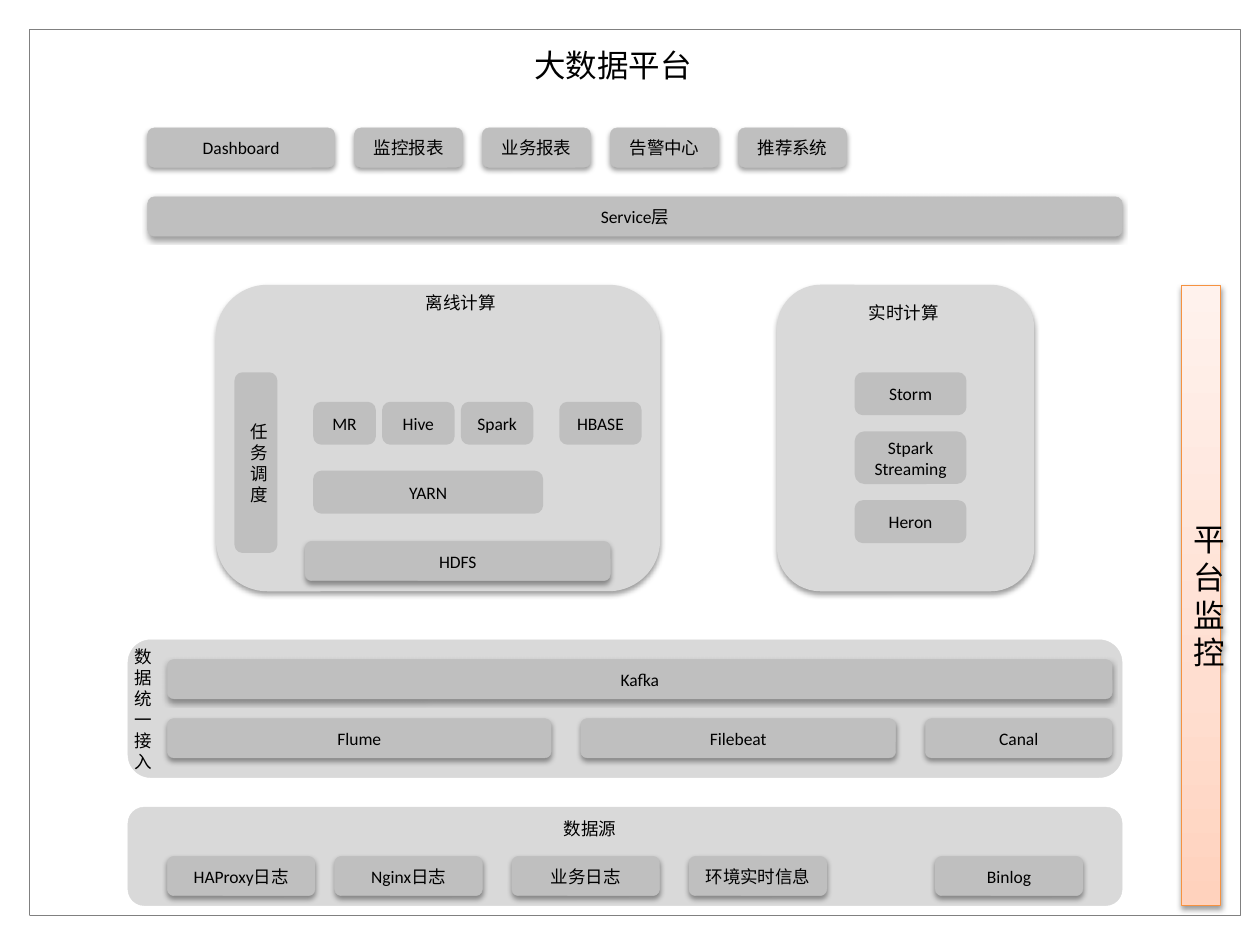
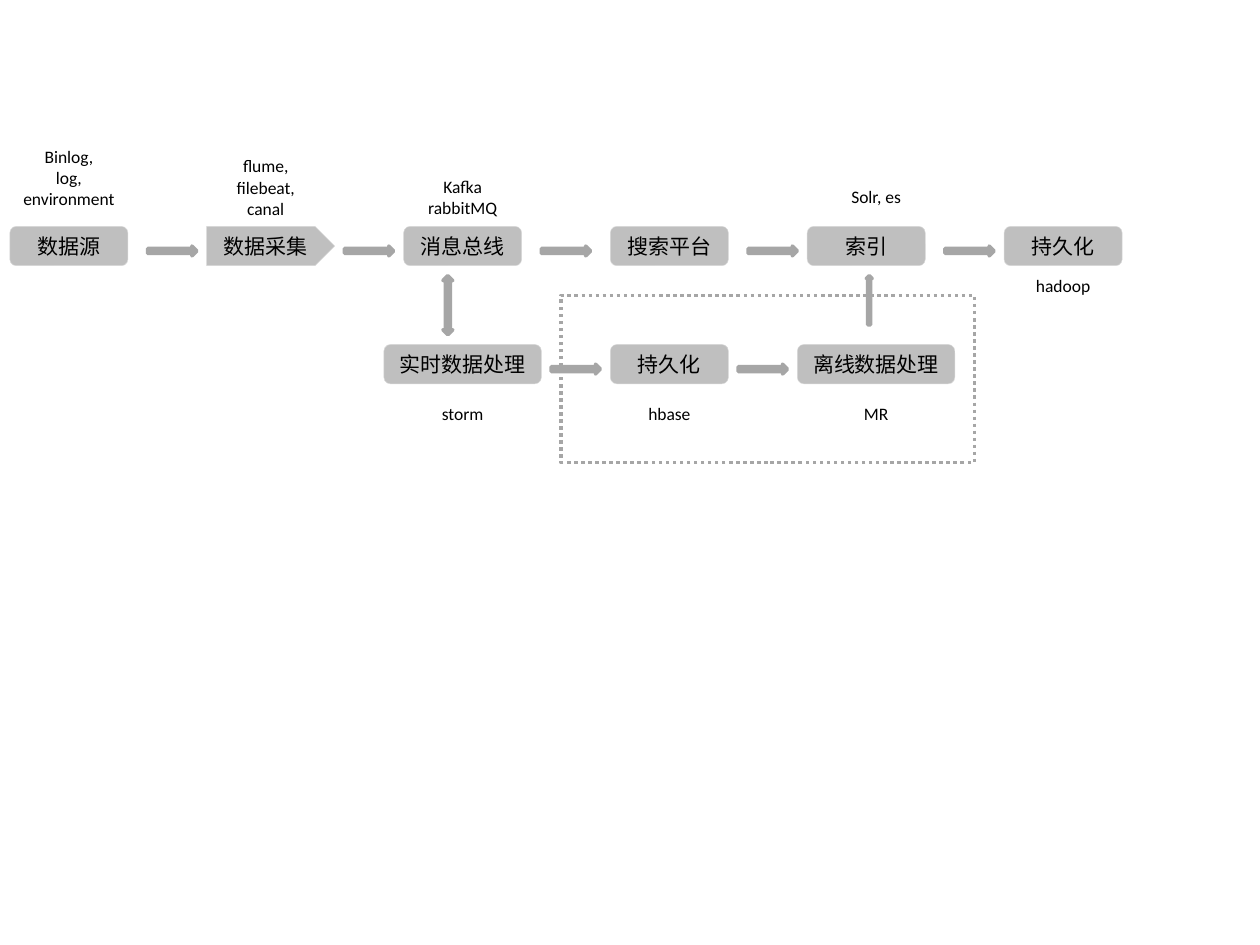
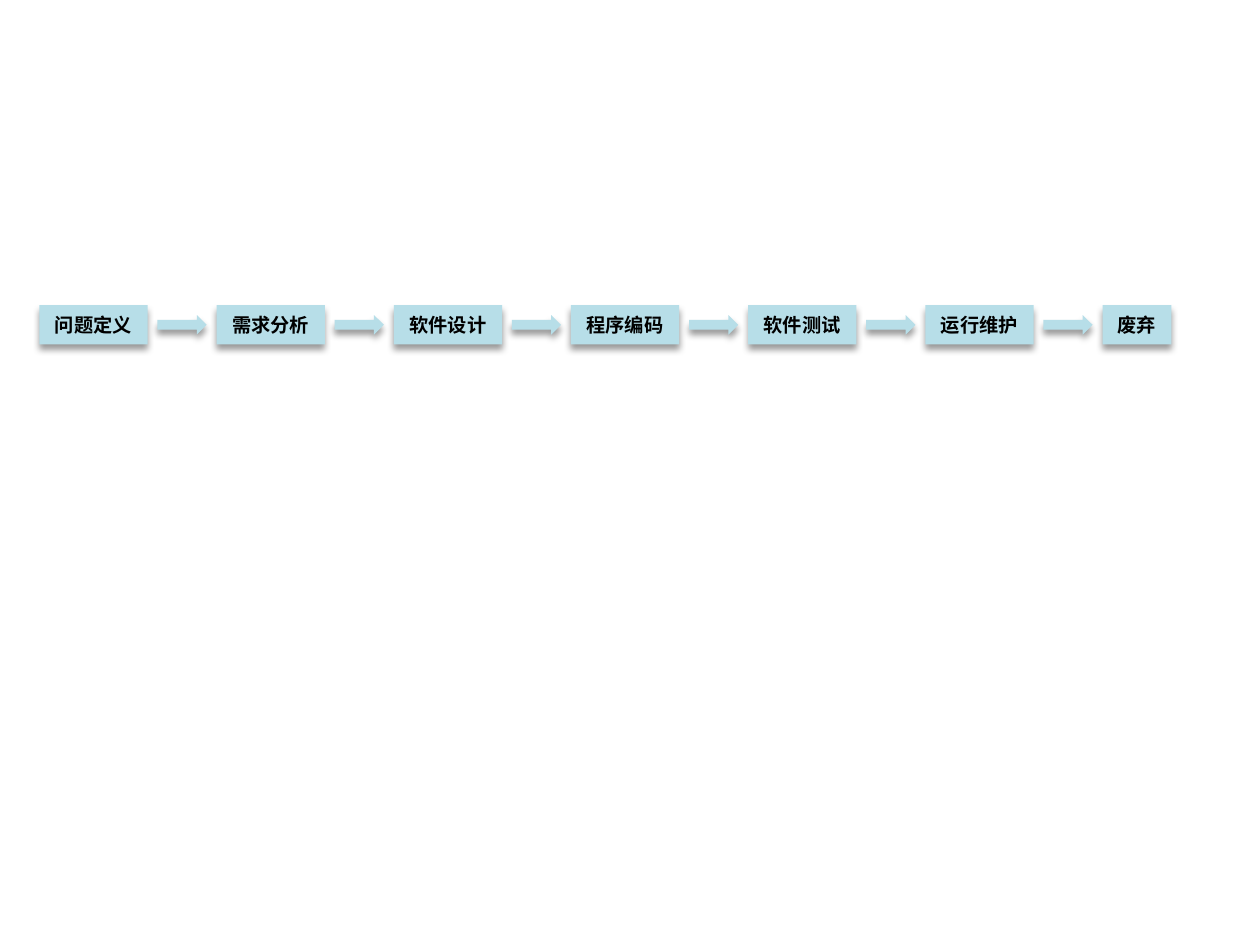
from copy import deepcopy
from dataclasses import dataclass

from lxml.etree import SubElement
from pptx import Presentation
from pptx.dml.color import RGBColor
from pptx.enum.dml import MSO_LINE
from pptx.enum.shapes import MSO_SHAPE as Shape
from pptx.enum.text import MSO_ANCHOR, MSO_AUTO_SIZE, PP_ALIGN
from pptx.oxml.ns import qn
from pptx.util import Inches, Pt

SLIDE_WIDTH, SLIDE_HEIGHT = Inches(10), Inches(7.5)
COLUMNS, ROWS = 128, 96
FONT = "Calibri"
BLACK = RGBColor(0x00, 0x00, 0x00)
WHITE = RGBColor(0xFF, 0xFF, 0xFF)
FRAME_GRAY = RGBColor(0x80, 0x80, 0x80)
ARROW_GRAY = RGBColor(0xA6, 0xA6, 0xA6)
TILE_GRAY = RGBColor(0xBF, 0xBF, 0xBF)
PANEL_GRAY = RGBColor(0xD9, 0xD9, 0xD9)
STEP_BLUE = RGBColor(0xB7, 0xDE, 0xE8)
MONITOR_ORANGE = RGBColor(0xF6, 0x92, 0x40)
MONITOR_STOPS = (
    (0, RGBColor(0xFF, 0xD2, 0xBD)),
    (0.35, RGBColor(0xFF, 0xDE, 0xD0)),
    (1, RGBColor(0xFF, 0xF2, 0xED)),
)


@dataclass
class Box:
    left: float
    top: float
    width: float
    height: float

    def at(self, column, row, width, height):
        return Box(self.left + column, self.top + row, width, height)

    def lengths(self):
        across, down = SLIDE_WIDTH / COLUMNS, SLIDE_HEIGHT / ROWS
        return (round(self.left * across), round(self.top * down),
                round(self.width * across), round(self.height * down))


@dataclass
class Shadow:
    opacity: int
    blur: float
    distance: float


@dataclass
class Style:
    fill: RGBColor
    line: RGBColor = None
    line_width: float = 0.25
    dotted: bool = False
    shadow: Shadow = None
    size: int = 10
    bold: bool = False


SOFT = Shadow(38, 3.1, 1.6)
DEEP = Shadow(40, 4, 3)
FRAME = Style(WHITE, FRAME_GRAY, dotted=True)
MONITOR = Style(WHITE, MONITOR_ORANGE, 0.75, shadow=SOFT, size=18)
PANEL = Style(PANEL_GRAY, PANEL_GRAY)
RAISED_PANEL = Style(PANEL_GRAY, PANEL_GRAY, 0.75, shadow=SOFT)
TILE = Style(TILE_GRAY, TILE_GRAY, 2)
RAISED_TILE = Style(TILE_GRAY, TILE_GRAY, shadow=SOFT)
STORE = Style(WHITE, ARROW_GRAY, 2, dotted=True)
NODE = Style(TILE_GRAY, PANEL_GRAY, size=12)
NOTE = Style(WHITE)
ARROW = Style(ARROW_GRAY, ARROW_GRAY, 2)
STEP = Style(STEP_BLUE, shadow=DEEP, size=11, bold=True)


def write(frame, text, size, bold=False, align=None):
    frame.word_wrap = True
    for index, line in enumerate(text.split("\n")):
        paragraph = frame.add_paragraph() if index else frame.paragraphs[0]
        paragraph.alignment = align
        run = paragraph.add_run()
        run.text = line
        run.font.name = FONT
        run.font.size = Pt(size)
        run.font.bold = bold
        run.font.color.rgb = BLACK


def cast_shadow(shape, shadow):
    effects = shape.element.spPr.find(qn("a:effectLst"))
    outer = SubElement(effects, qn("a:outerShdw"), blurRad=str(Pt(shadow.blur)),
                       dist=str(Pt(shadow.distance)), dir="5400000", rotWithShape="0")
    color = SubElement(outer, qn("a:srgbClr"), val=str(BLACK))
    SubElement(color, qn("a:alpha"), val=str(shadow.opacity * 1000))


def draw(slide, kind, box, style, text=""):
    shape = slide.shapes.add_shape(kind, *box.lengths())
    shape.shadow.inherit = False
    shape.fill.solid()
    shape.fill.fore_color.rgb = style.fill
    if style.line is None:
        shape.line.fill.background()
    else:
        shape.line.color.rgb = style.line
        shape.line.width = Pt(style.line_width)
    if style.dotted:
        shape.line.dash_style = MSO_LINE.ROUND_DOT
    if style.shadow:
        cast_shadow(shape, style.shadow)
    if text:
        shape.text_frame.vertical_anchor = MSO_ANCHOR.MIDDLE
        write(shape.text_frame, text, style.size, style.bold, PP_ALIGN.CENTER)
    return shape


def label(slide, box, text, size=10):
    frame = slide.shapes.add_textbox(*box.lengths()).text_frame
    write(frame, text, size)
    frame.auto_size = MSO_AUTO_SIZE.SHAPE_TO_FIT_TEXT
    return frame


def tile_row(slide, box, row, tiles, style):
    for text, column, width in tiles:
        draw(slide, Shape.ROUNDED_RECTANGLE, box.at(column, row, width, 4), style, text)


def monitor_bar(slide, box):
    bar = draw(slide, Shape.RECTANGLE, box, MONITOR, "平台监控")
    bar.fill.gradient()
    bar.fill.gradient_angle = 90
    stop_list = bar.element.spPr.find(f".//{qn('a:gsLst')}")
    stop_list.insert(1, deepcopy(stop_list[0]))
    for stop, (position, color) in zip(bar.fill.gradient_stops, MONITOR_STOPS):
        stop.position = position
        stop.color.rgb = color


def application_layer(slide, box):
    reports = ("监控报表", "业务报表", "告警中心", "推荐系统")
    tiles = [("Dashboard", 0, 19)]
    tiles += [(name, 21 + 13 * index, 11) for index, name in enumerate(reports)]
    tile_row(slide, box, 0, tiles, RAISED_TILE)
    tile_row(slide, box, 7, [("Service层", 0, box.width)], RAISED_TILE)


def offline_panel(slide, box):
    draw(slide, Shape.ROUNDED_RECTANGLE, box, RAISED_PANEL)
    label(slide, box.at(20, 0, 10, 3.5), "离线计算")
    draw(slide, Shape.ROUNDED_RECTANGLE, box.at(2, 9, 4, 18), TILE, "任务调度")
    engines = [("MR", 10, 6), ("Hive", 17, 7), ("Spark", 25, 7), ("HBASE", 35, 8)]
    tile_row(slide, box, 12, engines, TILE)
    tile_row(slide, box, 19, [("YARN", 10, 23)], TILE)
    tile_row(slide, box, 26, [("HDFS", 9, 31)], RAISED_TILE)


def realtime_panel(slide, box):
    draw(slide, Shape.ROUNDED_RECTANGLE, box, RAISED_PANEL)
    label(slide, box.at(8, 1, 10, 3.5), "实时计算")
    for text, row, height in (("Storm", 9, 4), ("Stpark\nStreaming", 15, 5), ("Heron", 22, 4)):
        draw(slide, Shape.ROUNDED_RECTANGLE, box.at(8, row, 11, height), TILE, text)


def access_panel(slide, box):
    draw(slide, Shape.ROUNDED_RECTANGLE, box, PANEL)
    frame = label(slide, box.at(0, 0, 2, 14.2), "数据统一接入")
    frame.margin_left, frame.margin_right = Inches(0.05), 0
    tile_row(slide, box, 2, [("Kafka", 4, 96)], RAISED_TILE)
    collectors = [("Flume", 4, 39), ("Filebeat", 46, 32), ("Canal", 81, 19)]
    tile_row(slide, box, 8, collectors, RAISED_TILE)


def source_panel(slide, box):
    draw(slide, Shape.ROUNDED_RECTANGLE, box, PANEL)
    label(slide, box.at(43, 0.5, 13, 3.5), "数据源")
    sources = [("HAProxy日志", 4, 15), ("Nginx日志", 21, 15), ("业务日志", 39, 15),
               ("环境实时信息", 57, 14), ("Binlog", 82, 15)]
    tile_row(slide, box, 5, sources, RAISED_TILE)


def platform_slide(slide, box):
    draw(slide, Shape.RECTANGLE, box.at(3, 3, 123, 90), FRAME)
    label(slide, box.at(53, 4, 20, 5.1), "大数据平台", 18)
    monitor_bar(slide, box.at(120, 29, 4, 63))
    application_layer(slide, box.at(15, 13, 99, 11))
    offline_panel(slide, box.at(22, 29, 45, 31))
    realtime_panel(slide, box.at(79, 29, 26, 31))
    access_panel(slide, box.at(13, 65, 101, 14))
    source_panel(slide, box.at(13, 82, 101, 10))


def flow_notes(slide, box):
    notes = (
        ("Binlog,\nlog,\nenvironment", 0, 14, 8), ("flume,\nfilebeat,\ncanal", 20, 15, 8),
        ("Kafka\nrabbitMQ", 40, 16, 8), ("Solr, es", 82, 18, 4), ("hadoop", 101, 27, 4),
        ("storm", 40, 40, 4), ("hbase", 61, 40, 4), ("MR", 82, 40, 4),
    )
    for text, column, row, height in notes:
        draw(slide, Shape.RECTANGLE, box.at(column, row, 14, height), NOTE, text)


def flow_nodes(slide, box):
    main_nodes = [("数据源", 1, 12), ("消息总线", 41, 12), ("搜索平台", 62, 12),
                  ("索引", 82, 12), ("持久化", 102, 12)]
    tile_row(slide, box, 23, main_nodes, NODE)
    draw(slide, Shape.PENTAGON, box.at(21, 23, 13, 4), NODE, "数据采集")
    processing_nodes = [("实时数据处理", 39, 16), ("持久化", 62, 12), ("离线数据处理", 81, 16)]
    tile_row(slide, box, 35, processing_nodes, NODE)


def flow_arrows(slide, box):
    for row, columns in ((25, (15, 35, 55, 76, 96)), (37, (56, 75))):
        for column in columns:
            draw(slide, Shape.RIGHT_ARROW, box.at(column, row, 5, 1), ARROW)
    draw(slide, Shape.UP_DOWN_ARROW, box.at(45, 28, 1, 6), ARROW)
    draw(slide, Shape.UP_ARROW, box.at(88, 28, 0.6, 5), ARROW)


def data_flow_slide(slide, box):
    draw(slide, Shape.RECTANGLE, box.at(57, 30, 42, 17), STORE)
    flow_notes(slide, box)
    flow_nodes(slide, box)
    flow_arrows(slide, box)


def life_cycle_slide(slide, box):
    steps = ("问题定义", "需求分析", "软件设计", "程序编码", "软件测试", "运行维护", "废弃")
    for index, text in enumerate(steps):
        column = 4 + 18 * index
        last = index == len(steps) - 1
        draw(slide, Shape.RECTANGLE, box.at(column, 31, 7 if last else 11, 4), STEP, text)
        if not last:
            draw(slide, Shape.RIGHT_ARROW, box.at(column + 12, 32, 5, 2), STEP)


def main():
    presentation = Presentation()
    presentation.slide_width, presentation.slide_height = SLIDE_WIDTH, SLIDE_HEIGHT
    blank = presentation.slide_layouts[6]
    for build in (platform_slide, data_flow_slide, life_cycle_slide):
        build(presentation.slides.add_slide(blank), Box(0, 0, COLUMNS, ROWS))
    presentation.save("out.pptx")


if __name__ == "__main__":
    main()
